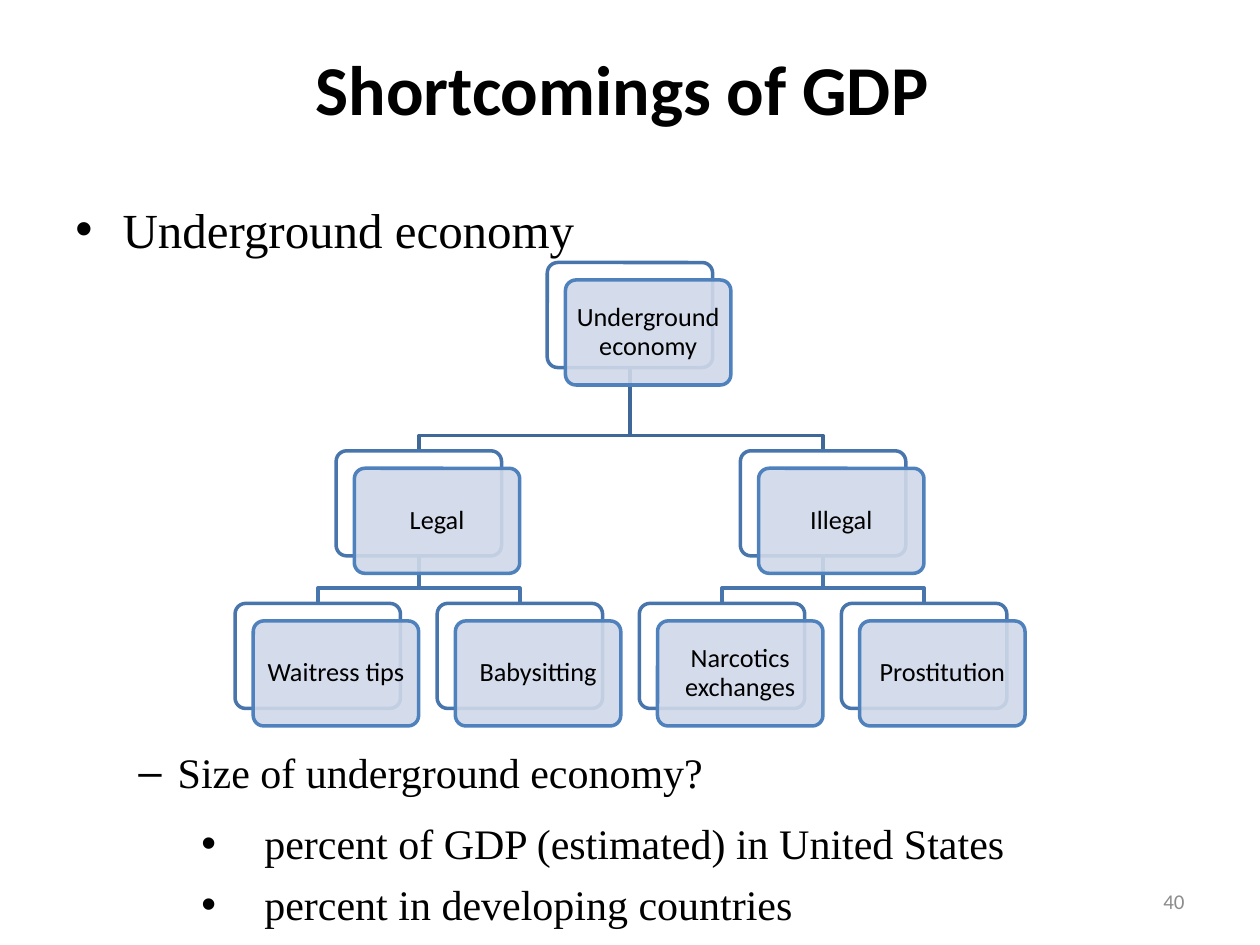
from lxml import etree
from pptx import Presentation
from pptx.dml.color import RGBColor
from pptx.enum.shapes import MSO_SHAPE
from pptx.enum.text import MSO_ANCHOR, PP_ALIGN
from pptx.oxml.ns import qn
from pptx.util import Pt

ROUNDED = MSO_SHAPE.ROUNDED_RECTANGLE
MIDDLE, TOP = MSO_ANCHOR.MIDDLE, MSO_ANCHOR.TOP
LEFT, CENTER, RIGHT = PP_ALIGN.LEFT, PP_ALIGN.CENTER, PP_ALIGN.RIGHT

BLACK = RGBColor(0x00, 0x00, 0x00)
WHITE = RGBColor(0xFF, 0xFF, 0xFF)
GRAY = RGBColor(0x8C, 0x8C, 0x8C)
PALE_BLUE = RGBColor(0xD0, 0xD8, 0xE8)
BLUE = RGBColor(0x4F, 0x81, 0xBD)
MEDIUM_BLUE = RGBColor(0x48, 0x75, 0xAC)
DARK_BLUE = RGBColor(0x3F, 0x67, 0x97)
SERIF = "Times New Roman"


def write(paragraph, text, size, font="Calibri", color=BLACK, bold=False,
          align=LEFT, bullet=None, margin=0, hanging=0, before=0, after=0):
    """Fill one paragraph; margin and hanging place its bullet, in points."""
    paragraph.alignment = align
    paragraph.space_before = Pt(before)
    paragraph.space_after = Pt(after)
    if bullet:
        properties = paragraph._p.get_or_add_pPr()
        properties.set("marL", str(Pt(margin)))
        properties.set("indent", str(-Pt(hanging)))
        etree.SubElement(properties, qn("a:buFont")).set("typeface", "Arial")
        etree.SubElement(properties, qn("a:buChar")).set("char", bullet)
    run = paragraph.add_run()
    run.text = text
    run.font.size = Pt(size)
    run.font.name = font
    run.font.bold = bold
    run.font.color.rgb = color


def add_text_frame(left, top, width, height, anchor=TOP):
    box = slide.shapes.add_textbox(Pt(left), Pt(top), Pt(width), Pt(height))
    box.text_frame.word_wrap = True
    box.text_frame.vertical_anchor = anchor
    return box.text_frame


presentation = Presentation()
presentation.slide_width = Pt(720)
presentation.slide_height = Pt(540)
slide = presentation.slides.add_slide(presentation.slide_layouts[5])

# Title
title = slide.shapes.title
title.left, title.top, title.width, title.height = Pt(36), Pt(16.5), Pt(648), Pt(67)
title.text_frame.vertical_anchor = MIDDLE
write(title.text_frame.paragraphs[0], "Shortcomings of GDP ", 40, bold=True, align=CENTER)

# Bulleted text above and below the tree
heading = add_text_frame(36, 110.5, 648, 42)
write(heading.paragraphs[0], "Underground economy", 28, font=SERIF,
      bullet="•", margin=27, hanging=27)

details = add_text_frame(36, 423, 648, 102)
write(details.paragraphs[0], "Size of underground economy?", 24, font=SERIF,
      bullet="–", margin=58.5, hanging=22.5, after=6)
for text in ("percent of GDP (estimated) in United States",
             "percent in developing countries"):
    write(details.add_paragraph(), text, 24, font=SERIF,
          bullet="•", margin=108, hanging=36, before=6)

# Tree: each node is (text, centre, level), each link is (parent, child)
NODE_WIDTH, NODE_HEIGHT = 94.5, 60
LEVEL_TOPS = (150, 257.6, 344.8)
OFFSET_X, OFFSET_Y = 10.4, 10
CHILD_DROP = 8.7
leaf_centers = [181.6 + 115.5 * column for column in range(4)]
legal_center = sum(leaf_centers[:2]) / 2
illegal_center = sum(leaf_centers[2:]) / 2

nodes = [("Underground economy", 360, 0),
         ("Legal", legal_center, 1),
         ("Illegal", illegal_center, 1)]
leaves = ("Waitress tips", "Babysitting", "Narcotics exchanges", "Prostitution")
nodes += [(text, center, 2) for text, center in zip(leaves, leaf_centers)]
links = [(0, 1), (0, 2), (1, 3), (1, 4), (2, 5), (2, 6)]

for parent, child in links:
    _, parent_center, level = nodes[parent]
    _, child_center, child_level = nodes[child]
    start = LEVEL_TOPS[level] + NODE_HEIGHT
    end = LEVEL_TOPS[child_level]
    elbow = end - CHILD_DROP
    builder = slide.shapes.build_freeform(Pt(parent_center), Pt(start))
    builder.add_line_segments(
        [(Pt(parent_center), Pt(elbow)), (Pt(child_center), Pt(elbow)),
         (Pt(child_center), Pt(end))], close=False)
    link = builder.convert_to_shape()
    link.shadow.inherit = False
    link.fill.background()
    link.line.color.rgb = DARK_BLUE if level == 0 else MEDIUM_BLUE
    link.line.width = Pt(2)

for text, center, level in nodes:
    left, top = center - NODE_WIDTH / 2, LEVEL_TOPS[level]
    for shift_x, shift_y, fill, line in ((0, 0, WHITE, MEDIUM_BLUE),
                                         (OFFSET_X, OFFSET_Y, PALE_BLUE, BLUE)):
        card = slide.shapes.add_shape(ROUNDED, Pt(left + shift_x), Pt(top + shift_y),
                                      Pt(NODE_WIDTH), Pt(NODE_HEIGHT))
        card.adjustments[0] = 0.1
        card.shadow.inherit = False
        card.fill.solid()
        card.fill.fore_color.rgb = fill
        card.line.color.rgb = line
        card.line.width = Pt(2)
    # The front card, drawn last, is slightly transparent and holds the text
    front_color = card._element.spPr.find(qn("a:solidFill"))[0]
    etree.SubElement(front_color, qn("a:alpha")).set("val", "90000")
    frame = card.text_frame
    frame.word_wrap = True
    frame.vertical_anchor = MIDDLE
    frame.margin_left = frame.margin_right = Pt(4)
    frame.margin_top = frame.margin_bottom = Pt(4)
    write(frame.paragraphs[0], text, 15, align=CENTER)
    frame.paragraphs[0].line_spacing = 0.9

# Slide number
number = add_text_frame(516, 500.5, 168, 28.75, anchor=MIDDLE)
write(number.paragraphs[0], "40", 12, color=GRAY, align=RIGHT)

presentation.save("out.pptx")
